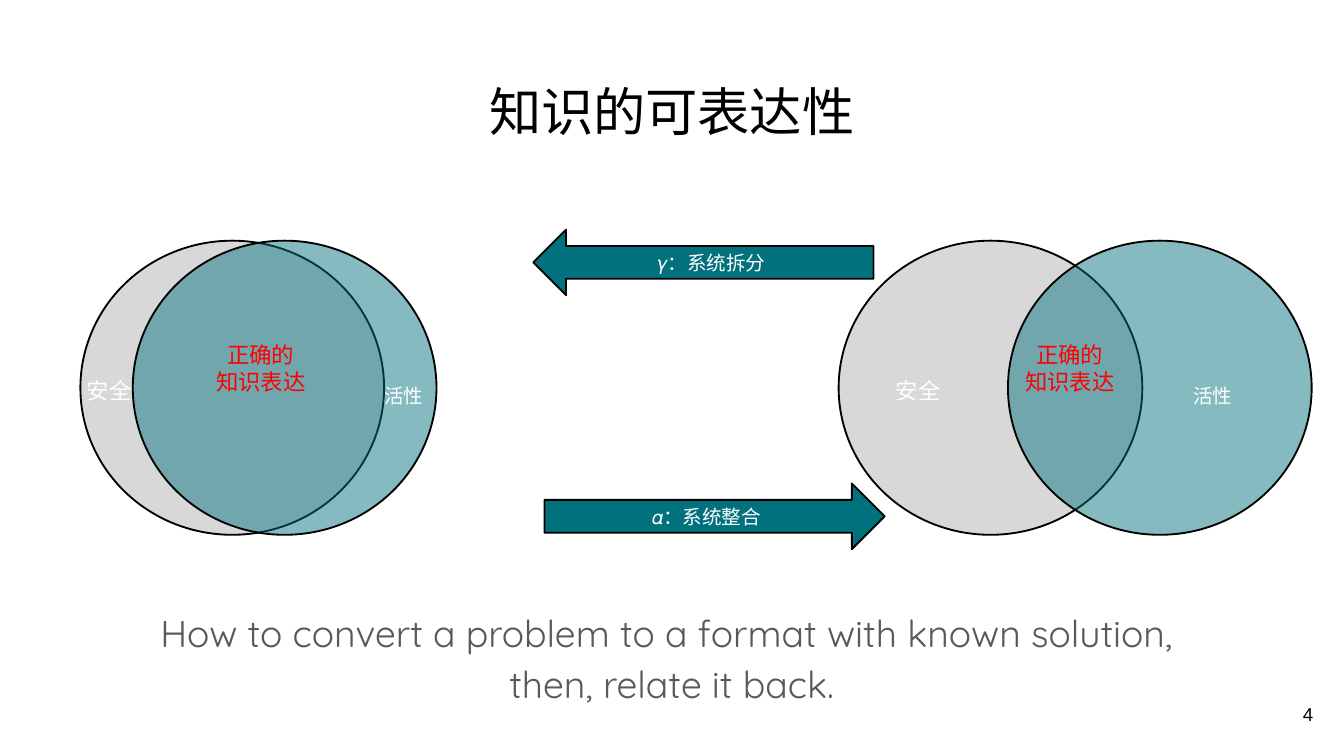
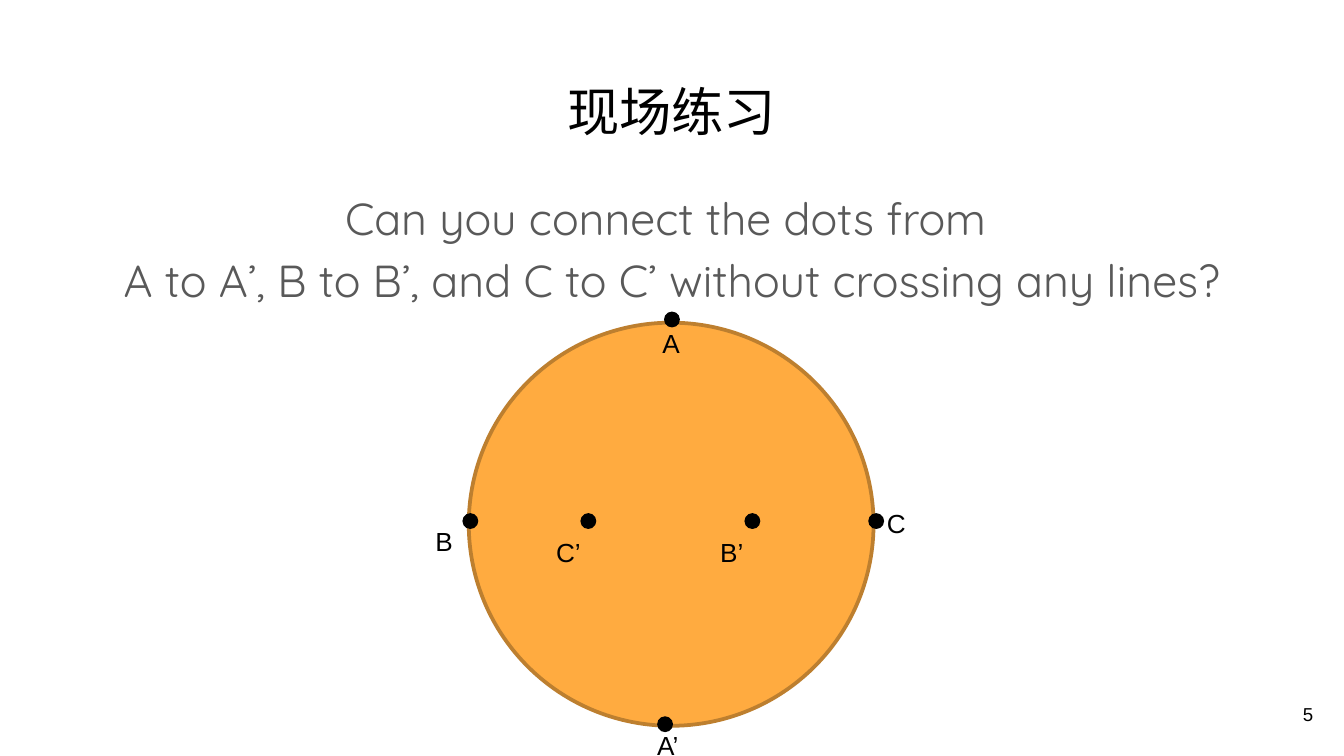
from lxml.etree import SubElement
from pptx import Presentation
from pptx.dml.color import RGBColor
from pptx.enum.shapes import MSO_SHAPE as Geo
from pptx.enum.text import MSO_ANCHOR as Anchor, MSO_AUTO_SIZE as Fit, PP_ALIGN as Align
from pptx.oxml.ns import qn
from pptx.util import Cm, Pt

# Shared colours and fonts
BLACK, WHITE, RED = "000000", "FFFFFF", "FF0000"
GREY, SILVER, TEAL = "595959", "B2B2B2", "00717D"
AMBER, BROWN = "FFAB40", "BD7F2F"
SANS, HAN, ROUND = "Arial", "Noto Sans CJK SC", "Quicksand"
LEFT, WIDE = 0.86, 23.67


def rgb(code):
    return RGBColor.from_string(code)


# Text
def write(frame, text, size, font, color, align=Align.LEFT, space=None):
    frame.text = text
    for para in frame.paragraphs:
        para.alignment = align
        if space:
            para.line_spacing = space
        for run in para.runs:
            run.font.size = Pt(size)
            run.font.name = font
            run.font.color.rgb = rgb(color)
            SubElement(run.font._element, qn("a:ea"), typeface=HAN)


def add_text(shapes, box, text, *style, inset=False, wrap=True, **more):
    frame = shapes.add_textbox(*map(Cm, box)).text_frame
    frame.word_wrap = wrap
    if inset:
        frame.margin_top = frame.margin_bottom = Cm(0.25)
    else:
        frame.auto_size = Fit.SHAPE_TO_FIT_TEXT
    write(frame, text, *style, **more)
    return frame


# Shapes
def add_form(shapes, kind, box, fill, line=None, width=1, alpha=None):
    form = shapes.add_shape(kind, *map(Cm, box))
    form.shadow.inherit = False
    form.fill.solid()
    form.fill.fore_color.rgb = rgb(fill)
    if alpha:
        tint = form.element.spPr.find(qn("a:solidFill"))[0]
        SubElement(tint, qn("a:alpha"), val=str(alpha * 1000))
    if line:
        form.line.color.rgb = rgb(line)
        form.line.width = Pt(width)
    else:
        form.line.fill.background()
    return form


def add_arrow(shapes, left, top, text, flip=False):
    arrow = add_form(shapes, Geo.RIGHT_ARROW, (left, top, 6.43, 1.24), TEAL, BLACK)
    if flip:
        arrow.element.spPr.find(qn("a:xfrm")).set("flipH", "1")
    arrow.text_frame.vertical_anchor = Anchor.MIDDLE
    write(arrow.text_frame, text, 10.5, HAN, WHITE, Align.CENTER)


def add_venn(shapes, safe, live, core):
    """Two circles at safe and live; the labels keep their distance from core."""
    group = shapes.add_group_shape().shapes
    for left, fill, alpha in ((safe, SILVER, 50), (live, TEAL, 48)):
        add_form(group, Geo.OVAL, (left, 4.55, 5.74, 5.56), fill, BLACK, alpha=alpha)
    add_text(group, (core, 6.32, 2.24, 1.27), "正确的\n知识表达", 12, HAN, RED,
             Align.CENTER, wrap=False)
    add_text(group, (core + 3.2, 7.14, 1.27, 0.71), "活性", 10.5, HAN, WHITE, wrap=False)
    add_text(group, (core - 2.43, 7.01, 1.37, 0.76), "安全", 12, HAN, WHITE,
             Align.CENTER, wrap=False)


def add_dot(shapes, name, dot, label, width):
    group = shapes.add_group_shape().shapes
    add_form(group, Geo.OVAL, (*dot, 0.3, 0.3), BLACK)
    add_text(group, (*label, width, 0.86), name, 14, SANS, BLACK)


# Frame of every slide: title, body, number
def add_slide(deck, title, body, top, size, number):
    shapes = deck.slides.add_slide(deck.slide_layouts[6]).shapes
    add_text(shapes, (LEFT, 1.24, WIDE, 1.6), title, 28, SANS, BLACK,
             Align.CENTER, inset=True)
    add_text(shapes, (LEFT, top, WIDE, 2.5), body, size, ROUND, GREY,
             Align.CENTER, inset=True, space=1.15)
    page = add_text(shapes, (23.55, 12.95, 1.52, 1.09), str(number), 10, SANS, BLACK,
                    Align.RIGHT, inset=True)
    page.vertical_anchor = Anchor.MIDDLE
    return shapes


def main():
    deck = Presentation()
    deck.slide_width, deck.slide_height = Cm(25.4), Cm(14.29)

    # Splitting and joining systems
    shapes = add_slide(
        deck, "知识的可表达性",
        "How to convert a problem to a format with known solution, \n"
        "then, relate it back.", 11.15, 20, 4)
    add_venn(shapes, 15.85, 19.05, 19.1)
    add_arrow(shapes, 10.29, 9.14, "𝛼：系统整合")
    add_arrow(shapes, 10.08, 4.34, "𝛾：系统拆分", flip=True)
    add_venn(shapes, 1.52, 2.51, 3.81)

    # Dot puzzle
    shapes = add_slide(
        deck, "现场练习",
        "Can you connect the dots from \n"
        "A to A’, B to B’, and C to C’ without crossing any lines?", 3.2, 24, 5)
    add_form(shapes, Geo.OVAL, (8.86, 6.1, 7.65, 7.62), AMBER, BROWN, 2)
    mid, low = 9.7, 10.01
    for name, dot, label, width in (
        ("A", (12.55, 5.89), (12.27, 6.07), 0.84),
        ("A’", (12.42, 13.54), (12.17, 13.67), 1.07),
        ("B", (8.74, mid), (7.98, 9.8), 0.84),
        ("B’", (14.07, mid), (13.36, low), 0.99),
        ("C", (16.41, mid), (16.51, 9.47), 0.89),
        ("C’", (10.97, mid), (10.26, low), 0.99),
    ):
        add_dot(shapes, name, dot, label, width)

    deck.save("out.pptx")


if __name__ == "__main__":
    main()
